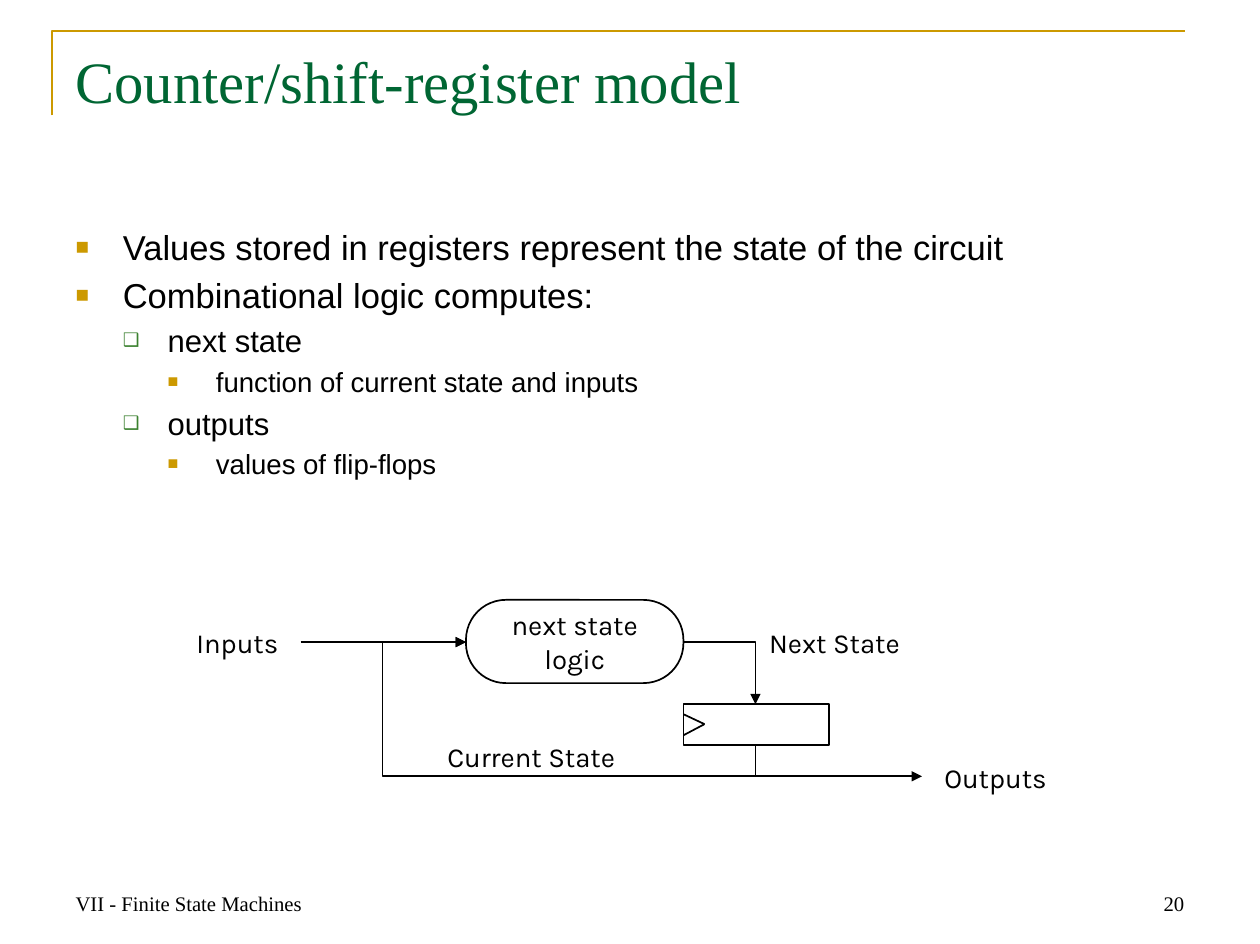
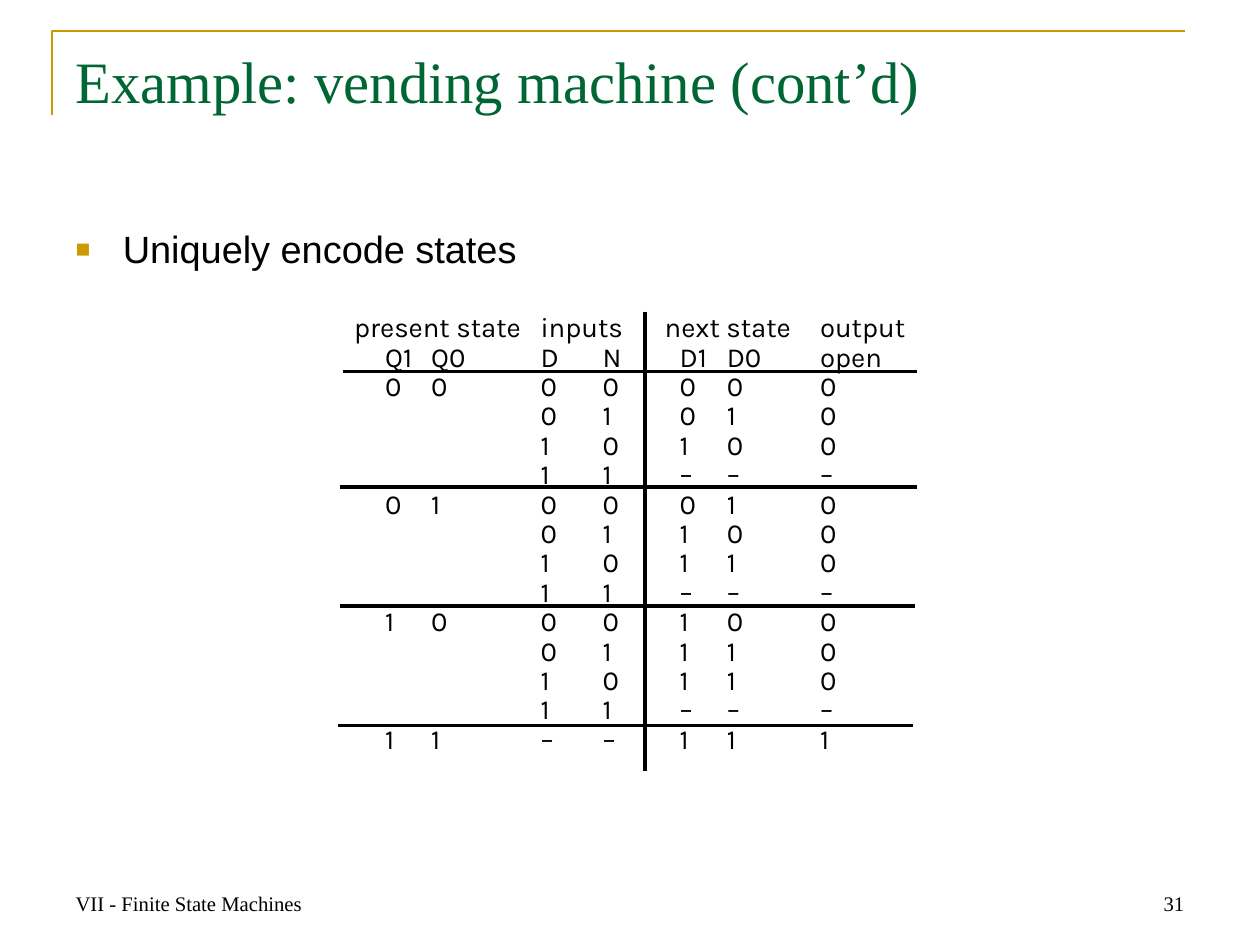
from itertools import pairwise

from lxml import etree
from pptx import Presentation, util as u
from pptx.dml.color import RGBColor
from pptx.enum import shapes, text
from pptx.oxml.ns import qn

GOLD = RGBColor(0xCC, 0x99, 0x00)
GREEN = RGBColor(0x00, 0x66, 0x33)
LEAF = RGBColor(0x3B, 0x81, 0x2F)
BLACK = RGBColor(0, 0, 0)
SERIF, SANS, LABEL = "Times New Roman", "Arial", "Karla"
PAD = (0.1, 0.05)
TIGHT = (0.02, 0.03)

# Content
FOOTER = "VII - Finite State Machines"
MODEL = {
    "title": "Counter/shift-register model",
    "number": "20",
    "sizes": (20, 18, 16),
    "bullets": [
        (0, "Values stored in registers represent the state of the circuit"),
        (0, "Combinational logic computes:"),
        (1, "next state"),
        (2, "function of current state and inputs"),
        (1, "outputs"),
        (2, "values of flip-flops"),
    ],
}
VENDING = {
    "title": "Example: vending machine (cont’d)",
    "number": "31",
    "sizes": (22,),
    "bullets": [(0, "Uniquely encode states")],
}
# Bullet levels: character, colour, size in percent, left margin, hanging indent
LEVELS = [
    ("■", GOLD, 65, 0.38, 0.38),
    ("❑", LEAF, 60, 0.74, 0.36),
    ("■", GOLD, 65, 1.13, 0.39),
]
# Truth table: header groups as (first column, last column, text, left inset)
GROUPS = [
    (0, 1, "present state", 0.11),
    (2, 3, "inputs", 0),
    (4, 5, "next state", 0.16),
    (6, 6, "output", 0),
]
SIGNALS = ["Q1", "Q0", "D", "N", "D1", "D0", "open"]
INSETS = [0.36, 0, 0, 0, 0.28, 0, 0]
COLUMN_EDGES = [2.74, 3.47, 4.35, 4.85, 5.19, 5.85, 6.6, 7.38]
# Present state, then next state and output for inputs 00, 01, 10, 11
TRANSITIONS = [
    ("00", ["000", "010", "100", "–––"]),
    ("01", ["010", "100", "110", "–––"]),
    ("10", ["100", "110", "110", "–––"]),
]
FINAL_ROW = "11––111"
# Rules of the truth table: start x, start y, end x, end y
RULES = [
    (2.76, 2.99, 7.38, 2.99),
    (2.74, 3.92, 7.38, 3.92),
    (2.74, 4.88, 7.36, 4.88),
    (2.72, 5.84, 7.35, 5.84),
    (5.19, 2.51, 5.19, 6.21),
]


def inches(*values):
    return [u.Inches(value) for value in values]


def add_run(paragraph, words, font, size, colour):
    run = paragraph.add_run()
    run.text = words
    run.font.name, run.font.size = font, u.Pt(size)
    run.font.color.rgb = colour


def set_insets(frame, pad):
    frame.margin_left = frame.margin_right = u.Inches(pad[0])
    frame.margin_top = frame.margin_bottom = u.Inches(pad[1])


def add_box(slide, at, pad=PAD, anchor=text.MSO_ANCHOR.TOP):
    frame = slide.shapes.add_textbox(*inches(*at)).text_frame
    frame.word_wrap = True
    frame.vertical_anchor = anchor
    set_insets(frame, pad)
    return frame


def add_bullet(paragraph, level):
    char, colour, percent, margin, hanging = LEVELS[level]
    props = paragraph._p.get_or_add_pPr()
    props.set("marL", str(u.Inches(margin)))
    props.set("indent", str(-u.Inches(hanging)))
    shade = etree.SubElement(props, qn("a:buClr"))
    etree.SubElement(shade, qn("a:srgbClr"), val=str(colour))
    etree.SubElement(props, qn("a:buSzPct"), val=str(percent * 1000))
    etree.SubElement(props, qn("a:buFont"), typeface=SANS)
    etree.SubElement(props, qn("a:buChar"), char=char)


def add_slide(deck, content):
    """Shared frame line, title, footer and bulleted body."""
    slide = deck.slides.add_slide(deck.slide_layouts[6])
    outline = slide.shapes.build_freeform(*inches(0.42, 0.93))
    outline.add_line_segments([inches(0.42, 0.25), inches(9.54, 0.25)], close=False)
    corner = outline.convert_to_shape()
    corner.shadow.inherit = False
    corner.fill.background()
    corner.line.color.rgb, corner.line.width = GOLD, u.Pt(1.5)

    title = add_box(slide, (0.51, 0.31, 9.12, 1.26))
    add_run(title.paragraphs[0], content["title"], SERIF, 34, GREEN)

    for left, words, align in [(0.51, FOOTER, text.PP_ALIGN.LEFT),
                               (7.26, content["number"], text.PP_ALIGN.RIGHT)]:
        foot = add_box(slide, (left, 6.91, 2.37, 0.51), anchor=text.MSO_ANCHOR.BOTTOM)
        foot.paragraphs[0].alignment = align
        add_run(foot.paragraphs[0], words, SERIF, 12, BLACK)

    body = add_box(slide, (0.51, 1.77, 9.12, 5.02))
    for index, (level, words) in enumerate(content["bullets"]):
        paragraph = body.add_paragraph() if index else body.paragraphs[0]
        size = content["sizes"][level]
        add_bullet(paragraph, level)
        if index:
            paragraph.space_before = u.Pt(round(0.2 * size, 1))
        add_run(paragraph, words, SANS, size, BLACK)
    return slide


def add_line(slide, ends, width=1, arrow=False, kind=shapes.MSO_CONNECTOR.STRAIGHT):
    line = slide.shapes.add_connector(kind, *inches(*ends))
    line.line.color.rgb, line.line.width = BLACK, u.Pt(width)
    if arrow:
        etree.SubElement(line.line._get_or_add_ln(), qn("a:tailEnd"), type="triangle")
    etree.SubElement(line._element.spPr, qn("a:effectLst"))
    return line


def add_bend(slide, ends, preset, adjustments=()):
    """Bent arrow with the given preset geometry."""
    bend = add_line(slide, ends, arrow=True, kind=shapes.MSO_CONNECTOR.ELBOW)
    geometry = bend._element.spPr.find(qn("a:prstGeom"))
    geometry.set("prst", preset)
    guides = geometry.find(qn("a:avLst"))
    if guides is None:
        guides = etree.SubElement(geometry, qn("a:avLst"))
    for number, share in enumerate(adjustments, 1):
        etree.SubElement(guides, qn("a:gd"), name=f"adj{number}",
                         fmla=f"val {round(share * 100000)}")
    return bend


def add_block(slide, preset, at):
    block = slide.shapes.add_shape(preset, *inches(*at))
    block.shadow.inherit = False
    block.fill.background()
    block.line.color.rgb, block.line.width = BLACK, u.Pt(1)
    return block


def draw_model(slide):
    input_y, feedback_y = 5.17, 6.25
    logic_left, logic_right = 3.75, 5.5
    register_x, register_top, register_bottom = 6.08, 5.67, 6
    feedback_x = 3.08

    # Signal names
    for words, at, align in [
        ("Inputs", (1.25, 5.08, 1.01, 0.33), text.PP_ALIGN.RIGHT),
        ("Outputs", (7.58, 6.17, 1.44, 0.33), text.PP_ALIGN.LEFT),
        ("Next State", (6.17, 5.08, 1.29, 0.33), text.PP_ALIGN.LEFT),
        ("Current State", (3.58, 6, 1.53, 0.33), text.PP_ALIGN.LEFT),
    ]:
        paragraph = add_box(slide, at, TIGHT).paragraphs[0]
        paragraph.alignment, paragraph.line_spacing = align, u.Pt(13.9)
        add_run(paragraph, words, LABEL, 16, BLACK)

    # Register with its clock mark
    add_block(slide, shapes.MSO_SHAPE.RECTANGLE,
              (logic_right, register_top, 1.17, register_bottom - register_top))
    for mark_y in (5.75, 5.92):
        add_line(slide, (logic_right, mark_y, 5.67, 5.83))

    # Next state logic
    logic = add_block(slide, shapes.MSO_SHAPE.ROUNDED_RECTANGLE,
                      (logic_left, 4.83, logic_right - logic_left, 0.67))
    logic.adjustments[0] = 0.48
    frame = logic.text_frame
    frame.word_wrap = False
    frame.vertical_anchor = text.MSO_ANCHOR.MIDDLE
    set_insets(frame, PAD)
    paragraph = frame.paragraphs[0]
    paragraph.alignment = text.PP_ALIGN.CENTER
    add_run(paragraph, "next state", LABEL, 16, BLACK)
    paragraph.add_line_break()
    add_run(paragraph, "logic", LABEL, 16, BLACK)

    # Next state wire
    add_bend(slide, (logic_right, input_y, register_x, register_top), "bentConnector2")

    # Feedback wire: its frame is turned a quarter about the centre
    rise, run = register_bottom - input_y, register_x - logic_left
    middle_x, middle_y = (register_x + logic_left) / 2, (register_bottom + input_y) / 2
    feedback = add_bend(
        slide,
        (middle_x - rise / 2, middle_y - run / 2, middle_x + rise / 2, middle_y + run / 2),
        "bentConnector4",
        ((register_bottom - feedback_y) / rise, (register_x - feedback_x) / run))
    frame = feedback._element.spPr.find(qn("a:xfrm"))
    frame.set("rot", str(270 * 60000))
    frame.set("flipV", "1")

    # Outputs and inputs
    add_line(slide, (register_x, feedback_y, 7.42, feedback_y), arrow=True)
    add_line(slide, (2.42, input_y, logic_left, input_y), arrow=True)


def truth_rows():
    rows = [SIGNALS]
    for state, results in TRANSITIONS:
        for index, result in enumerate(results):
            shown = state if index == 0 else ("", "")
            rows.append([*shown, *f"{index:02b}", *result])
    return rows + [list(FINAL_ROW)]


def fill_cell(cell, words, inset):
    cell.margin_left = u.Inches(inset)
    cell.margin_right = cell.margin_top = cell.margin_bottom = 0
    cell.fill.background()
    paragraph = cell.text_frame.paragraphs[0]
    paragraph.line_spacing = u.Pt(17)
    if words:
        add_run(paragraph, words, LABEL, 16, BLACK)
    else:
        paragraph.font.size = u.Pt(8)


def draw_truth_table(slide):
    rows = truth_rows()
    count, row_height = len(rows) + 1, 17 / 72
    left, right = COLUMN_EDGES[0], COLUMN_EDGES[-1]
    holder = slide.shapes.add_table(
        count, len(SIGNALS), *inches(left, 2.54, right - left, row_height * count))
    table = holder.table
    table.first_row = table.horz_banding = False
    style = table._tbl.tblPr.find(qn("a:tableStyleId"))
    style.text = "{2D5ABB26-0587-4C30-8999-92F81FD0307C}"
    for column, (start, end) in zip(table.columns, pairwise(COLUMN_EDGES)):
        column.width = u.Inches(end - start)
    for row in table.rows:
        row.height = u.Inches(row_height)

    heads = {first: (words, inset) for first, _, words, inset in GROUPS}
    for y in range(count):
        for x in range(len(SIGNALS)):
            words, inset = (rows[y - 1][x], INSETS[x]) if y else heads.get(x, ("", 0))
            fill_cell(table.cell(y, x), words, inset)
    for first, last, _, _ in GROUPS:
        if last > first:
            table.cell(0, first).merge(table.cell(0, last))

    for ends in RULES:
        add_line(slide, ends, width=2)


def main():
    deck = Presentation()
    deck.slide_width, deck.slide_height = inches(10.14, 7.6)
    draw_model(add_slide(deck, MODEL))
    draw_truth_table(add_slide(deck, VENDING))
    deck.save("out.pptx")


if __name__ == "__main__":
    main()
